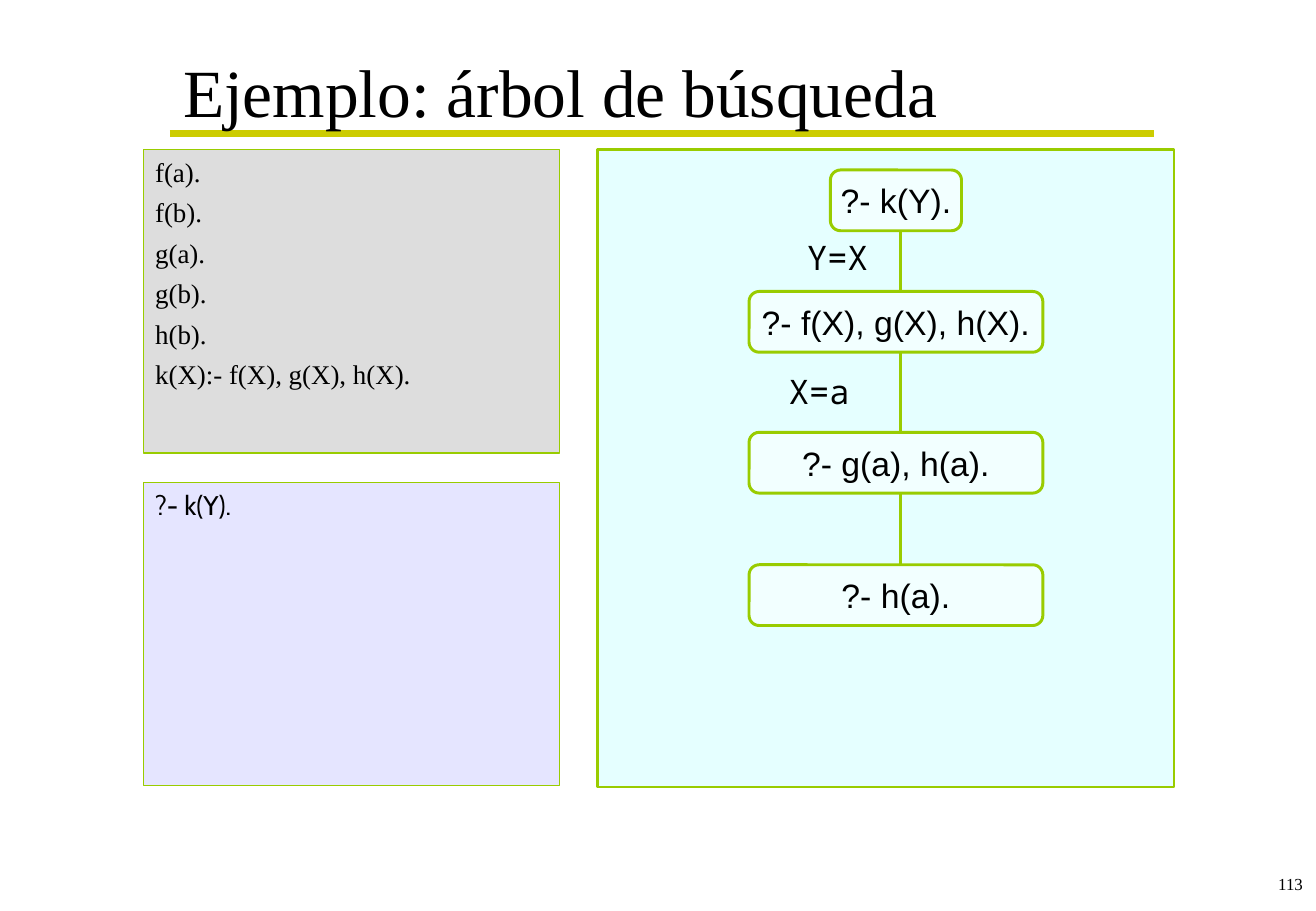
from dataclasses import dataclass

from lxml.etree import SubElement
from pptx import Presentation
from pptx.dml.color import RGBColor
from pptx.enum.shapes import MSO_CONNECTOR, MSO_SHAPE
from pptx.enum.text import MSO_ANCHOR, MSO_AUTO_SIZE, PP_ALIGN
from pptx.oxml.ns import qn
from pptx.util import Inches, Pt

TITLE = "Ejemplo: árbol de búsqueda"
PROGRAM = ["f(a).", "f(b).", "g(a).", "g(b).", "h(b).", "k(X):- f(X), g(X), h(X)."]
QUERY = ["?- k(Y)."]
PAGE_NUMBER = "113"
# Search tree, from the root down: goal, top, width
GOALS = [
    ("?- k(Y).", 1.4, 1.08),
    ("?- f(X), g(X), h(X).", 2.4, 2.42),
    ("?- g(a), h(a).", 3.56, 2.42),
    ("?- h(a).", 4.65, 2.42),
]
# Bindings beside the branches: text, left, top
BINDINGS = [("Y=X", 6.55, 1.9), ("X=a", 6.4, 3.0)]

PANEL_TOP = 1.23
PANEL_LEFT, PANEL_WIDTH, PANEL_HEIGHT = 1.18, 3.43, 2.5
QUERY_TOP = 3.97
GOAL_CENTER, GOAL_HEIGHT = 7.38, 0.5
BRANCH_X = 7.42
HANGING = 0.38


@dataclass(frozen=True)
class Theme:
    text: str = "000000"
    rule: str = "CCCC00"
    border: str = "99CC00"
    program: str = "DDDDDD"
    query: str = "CCCCFF"
    tree: str = "CCFFFF"
    goal: str = "FFFFFF"
    serif: str = "Times New Roman"
    sans: str = "Arial"
    query_font: str = "Cabin"
    mono: str = "Noto Sans Mono"
    title_size: float = 40
    tree_size: float = 20
    list_size: float = 16
    page_size: float = 10
    list_gap: float = 4.8
    thin: float = 0.75
    panel_line: float = 1.5
    tree_line: float = 1.75
    rule_line: float = 4.5


THEME = Theme()


def write(shape, lines, font, size, align=PP_ALIGN.LEFT,
          anchor=MSO_ANCHOR.TOP, wrap=True, hanging=False):
    frame = shape.text_frame
    frame.text = "\n".join(lines)
    frame.word_wrap = wrap
    frame.vertical_anchor = anchor
    for number, paragraph in enumerate(frame.paragraphs):
        paragraph.alignment = align
        if hanging:
            properties = paragraph._p.get_or_add_pPr()
            properties.set("marL", str(Inches(HANGING)))
            properties.set("indent", str(-Inches(HANGING)))
        if number:
            paragraph.space_before = Pt(THEME.list_gap)
        for run in paragraph.runs:
            run.font.name = font
            run.font.size = Pt(size)
            run.font.color.rgb = RGBColor.from_string(THEME.text)


def add_text(slide, box, text, font, size, **layout):
    label = slide.shapes.add_textbox(*map(Inches, box))
    write(label, [text], font, size, **layout)
    return label


def add_box(slide, kind, box, fill, line_width, opacity=100):
    shape = slide.shapes.add_shape(kind, *map(Inches, box))
    shape.shadow.inherit = False
    shape.fill.solid()
    shape.fill.fore_color.rgb = RGBColor.from_string(fill)
    if opacity < 100:
        color = shape.fill._xPr.find(qn("a:solidFill"))[0]
        SubElement(color, qn("a:alpha")).set("val", str(opacity * 1000))
    shape.line.color.rgb = RGBColor.from_string(THEME.border)
    shape.line.width = Pt(line_width)
    return shape


def add_line(slide, start, end, color, width):
    line = slide.shapes.add_connector(
        MSO_CONNECTOR.STRAIGHT, *map(Inches, (*start, *end)))
    line.line.color.rgb = RGBColor.from_string(color)
    line.line.width = Pt(width)
    SubElement(line._element.spPr, qn("a:effectLst"))


def add_listings(slide):
    for lines, top, fill, opacity, font in [
        (PROGRAM, PANEL_TOP, THEME.program, 100, THEME.serif),
        (QUERY, QUERY_TOP, THEME.query, 50, THEME.query_font),
    ]:
        panel = add_box(slide, MSO_SHAPE.RECTANGLE,
                        (PANEL_LEFT, top, PANEL_WIDTH, PANEL_HEIGHT),
                        fill, THEME.thin, opacity)
        write(panel, lines, font, THEME.list_size, hanging=True)


def add_search_tree(slide):
    add_box(slide, MSO_SHAPE.RECTANGLE, (4.92, PANEL_TOP, 4.75, 5.25),
            THEME.tree, THEME.panel_line, 50)
    for goal, top, width in GOALS:
        node = add_box(slide, MSO_SHAPE.FLOWCHART_ALTERNATE_PROCESS,
                       (GOAL_CENTER - width / 2, top, width, GOAL_HEIGHT),
                       THEME.goal, THEME.tree_line, 50)
        write(node, [goal], THEME.sans, THEME.tree_size, PP_ALIGN.CENTER,
              MSO_ANCHOR.MIDDLE, wrap=False)
    for (_, parent_top, _), (_, child_top, _) in zip(GOALS, GOALS[1:]):
        add_line(slide, (BRANCH_X, parent_top + GOAL_HEIGHT),
                 (BRANCH_X, child_top), THEME.border, THEME.tree_line)
    for binding, left, top in BINDINGS:
        label = add_text(slide, (left, top, 0.7, 0.44), binding,
                         THEME.mono, THEME.tree_size, wrap=False)
        label.text_frame.auto_size = MSO_AUTO_SIZE.SHAPE_TO_FIT_TEXT


def main():
    deck = Presentation()
    deck.slide_width, deck.slide_height = Inches(10.84), Inches(7.5)
    slide = deck.slides.add_slide(deck.slide_layouts[6])
    add_line(slide, (1.4, 1.1), (9.51, 1.1), THEME.rule, THEME.rule_line)
    add_text(slide, (1.41, 0.28, 8.1, 0.93), TITLE, THEME.serif,
             THEME.title_size, anchor=MSO_ANCHOR.MIDDLE)
    add_listings(slide)
    add_search_tree(slide)
    add_text(slide, (9.03, 7.14, 1.8, 0.36), PAGE_NUMBER, THEME.serif,
             THEME.page_size, align=PP_ALIGN.RIGHT)
    deck.save("out.pptx")


if __name__ == "__main__":
    main()
